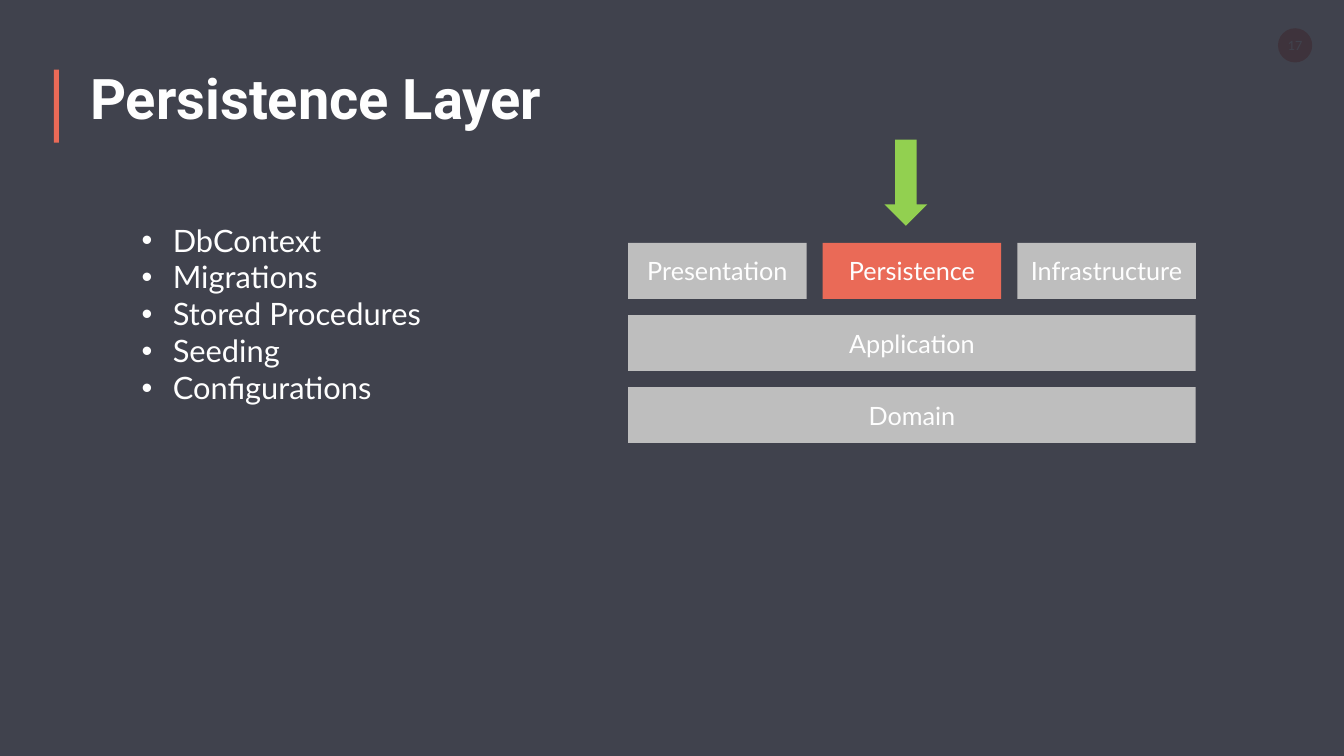
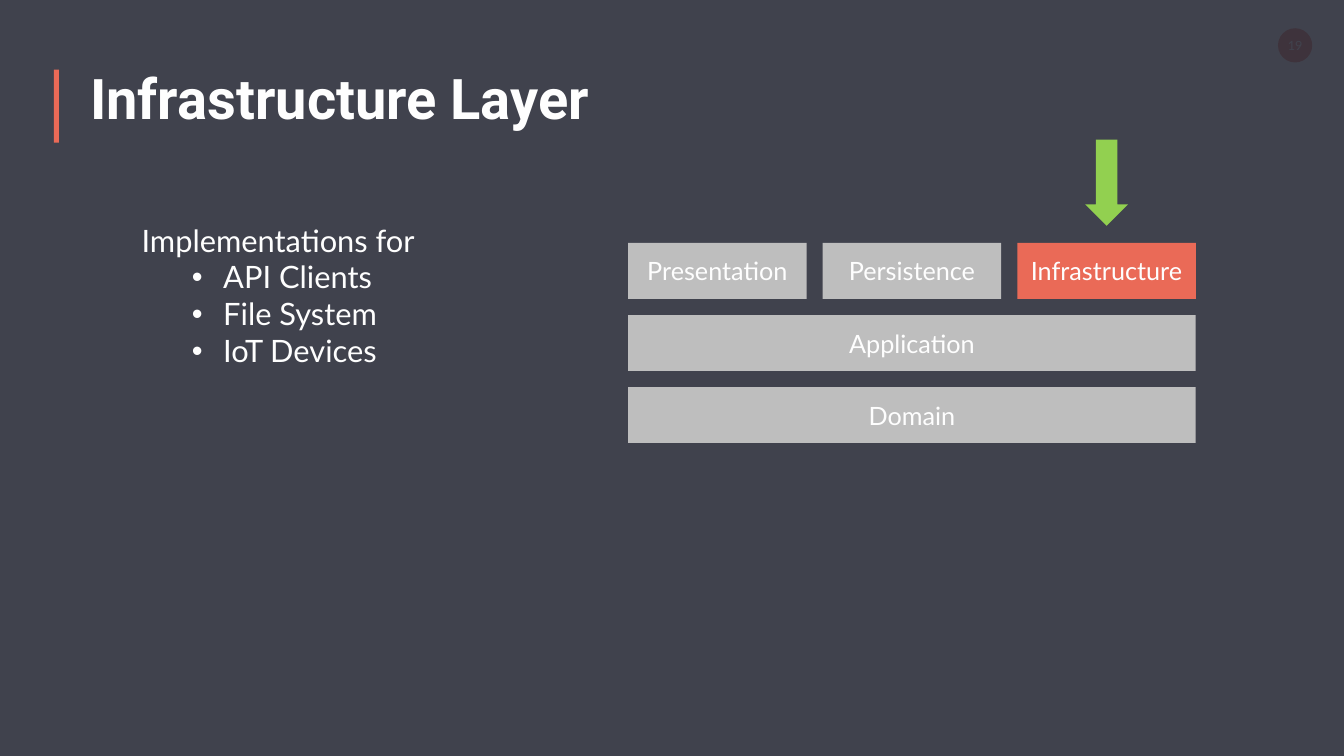
from lxml import etree
from pptx import Presentation
from pptx.dml.color import RGBColor
from pptx.enum.shapes import MSO_SHAPE
from pptx.enum.text import MSO_ANCHOR, PP_ALIGN
from pptx.oxml.ns import qn
from pptx.util import Pt

RECTANGLE, OVAL, DOWN_ARROW = MSO_SHAPE.RECTANGLE, MSO_SHAPE.OVAL, MSO_SHAPE.DOWN_ARROW
CENTER, LEFT, MIDDLE = PP_ALIGN.CENTER, PP_ALIGN.LEFT, MSO_ANCHOR.MIDDLE

PX = 9144  # 100 px to the inch
SLIDE_BOX = (0, 0, 2666, 1500)
BADGE_BOX = (2535, 56, 68, 68)
HEADER_BOX = (107, 121, 1689, 145)
LIST_BOX = (271, 434, 929, 441)
DIAGRAM_BOX = (1246, 482, 1126, 397)

WHITE, NAVY, CORAL, GREY, GREEN = "FEFEFE", "2C2E3A", "EA6A57", "BEBEBE", "92D050"
TITLE_FONT = {"name": "Roboto", "size": Pt(80), "bold": True}
LIST_FONT = {"name": "Lato", "size": Pt(44)}
LAYER_FONT = {"name": "Lato", "size": Pt(36)}
BADGE_FONT = {"name": "Lato", "size": Pt(18)}

OUTER_LAYERS = ("Presentation", "Persistence", "Infrastructure")
INNER_LAYERS = ("Application", "Domain")
LAYER_HEIGHT, ROW_GAP, COLUMN_GAP = 111, 32, 32
ARROW_WIDTH, ARROW_HEIGHT, ARROW_RISE = 85, 171, 205
BULLET_HANG, LEVEL_INDENT = 62, 100

# Heading, page number, highlighted layer, arrow shift from its centre, (level, text) items;
# level None has no bullet
SLIDES = (
    ("Persistence Layer", "17", "Persistence", -12,
     [(0, "DbContext"), (0, "Migrations"), (0, "Stored Procedures"),
      (0, "Seeding"), (0, "Configurations")]),
    ("Infrastructure Layer", "19", "Infrastructure", 0,
     [(None, "Implementations for"), (1, "API Clients"),
      (1, "File System"), (1, "IoT Devices")]),
)


def emu(box):
    return [round(length * PX) for length in box]


def paint(fill, color):
    fill.solid()
    fill.fore_color.rgb = RGBColor.from_string(color)


def write(paragraph, text, font_format, alignment=LEFT):
    paragraph.alignment = alignment
    run = paragraph.add_run()
    run.text = text
    for name, value in font_format.items():
        setattr(run.font, name, value)
    run.font.color.rgb = RGBColor.from_string(WHITE)


def add_block(slide, kind, box, color, text=None, font_format=None):
    shape = slide.shapes.add_shape(kind, *emu(box))
    shape.shadow.inherit = False
    shape.line.fill.background()
    paint(shape.fill, color)
    if text:
        frame = shape.text_frame
        frame.word_wrap = False
        frame.vertical_anchor = MIDDLE
        write(frame.paragraphs[0], text, font_format, CENTER)
    return shape


def add_text_frame(slide, box):
    frame = slide.shapes.add_textbox(*emu(box)).text_frame
    frame.word_wrap = True
    return frame


def add_bullet(paragraph, level):
    paragraph.level = level
    properties = paragraph._p.get_or_add_pPr()
    properties.set("marL", str((BULLET_HANG + level * LEVEL_INDENT) * PX))
    properties.set("indent", str(-BULLET_HANG * PX))
    font = etree.SubElement(properties, qn("a:buFont"))
    font.set("typeface", "Arial")
    etree.SubElement(properties, qn("a:buChar")).set("char", "•")


def add_backdrop(slide, number):
    """Page badge, dimmed by a navy veil over the whole slide."""
    paint(slide.background.fill, WHITE)
    add_block(slide, OVAL, BADGE_BOX, CORAL, number, BADGE_FONT)
    veil = add_block(slide, RECTANGLE, SLIDE_BOX, NAVY)
    color = veil._element.spPr.find(qn("a:solidFill"))[0]
    etree.SubElement(color, qn("a:alpha")).set("val", "90000")


def add_header(slide, box, title):
    left, top, width, height = box
    frame = add_text_frame(slide, (left + 62, top, width - 62, height))
    write(frame.paragraphs[0], title, TITLE_FONT)
    add_block(slide, RECTANGLE, (left, top + 17, 10, height), CORAL)


def add_list(slide, box, items):
    frame = add_text_frame(slide, box)
    for index, (level, text) in enumerate(items):
        paragraph = frame.add_paragraph() if index else frame.paragraphs[0]
        write(paragraph, text, LIST_FONT)
        if level is not None:
            add_bullet(paragraph, level)


def add_diagram(slide, box, active, arrow_shift):
    """Outer layers side by side above the inner ones, with an arrow to the active layer."""
    left, top, width, _ = box
    count = len(OUTER_LAYERS)
    column_width = (width - (count - 1) * COLUMN_GAP) / count
    for column, name in enumerate(OUTER_LAYERS):
        x = left + column * (column_width + COLUMN_GAP)
        color = CORAL if name == active else GREY
        add_block(slide, RECTANGLE, (x, top, column_width, LAYER_HEIGHT), color, name, LAYER_FONT)
        if name == active:
            arrow_left = x + (column_width - ARROW_WIDTH) / 2 + arrow_shift
            add_block(slide, DOWN_ARROW,
                      (arrow_left, top - ARROW_RISE, ARROW_WIDTH, ARROW_HEIGHT), GREEN)
    for row, name in enumerate(INNER_LAYERS, start=1):
        y = top + row * (LAYER_HEIGHT + ROW_GAP)
        add_block(slide, RECTANGLE, (left, y, width, LAYER_HEIGHT), GREY, name, LAYER_FONT)


def add_layer_slide(presentation, title, number, active, arrow_shift, items):
    slide = presentation.slides.add_slide(presentation.slide_layouts[6])
    add_backdrop(slide, number)
    add_header(slide, HEADER_BOX, title)
    add_list(slide, LIST_BOX, items)
    add_diagram(slide, DIAGRAM_BOX, active, arrow_shift)


def main():
    presentation = Presentation()
    presentation.slide_width, presentation.slide_height = emu(SLIDE_BOX[2:])
    for content in SLIDES:
        add_layer_slide(presentation, *content)
    presentation.save("out.pptx")


if __name__ == "__main__":
    main()
